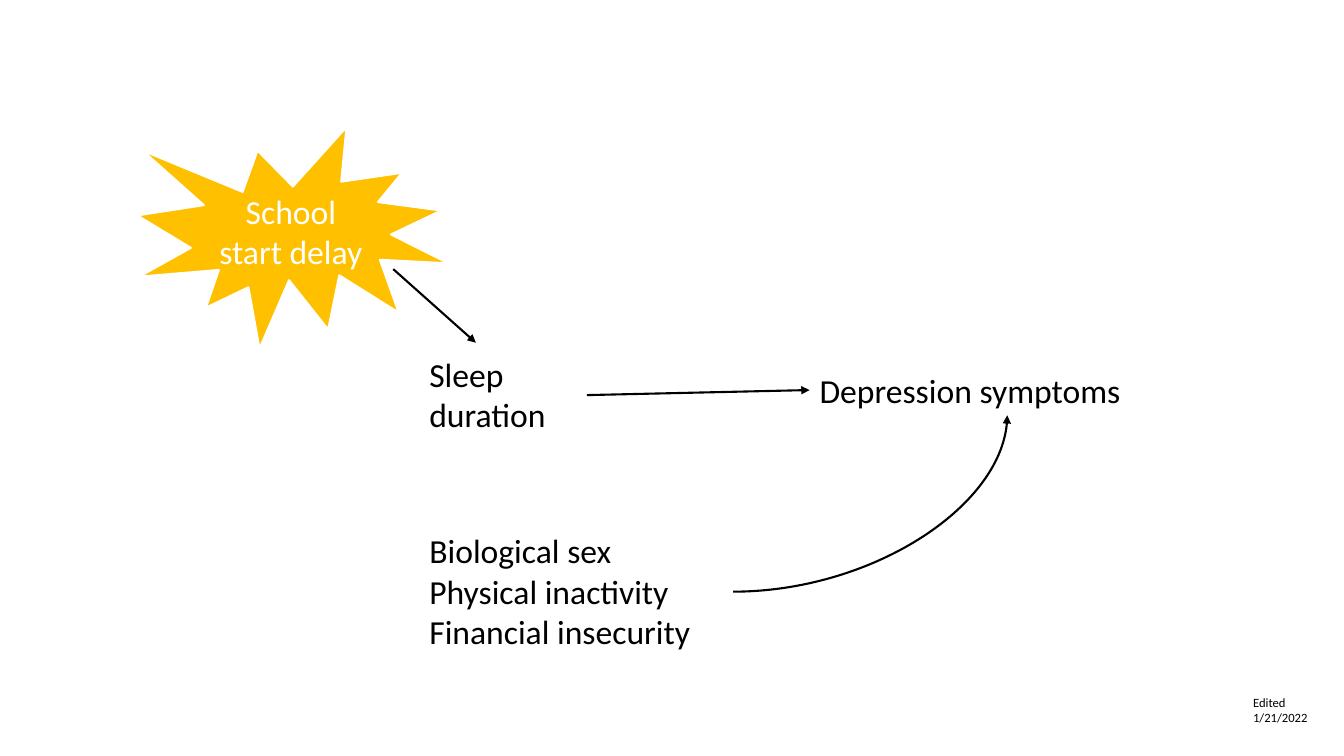
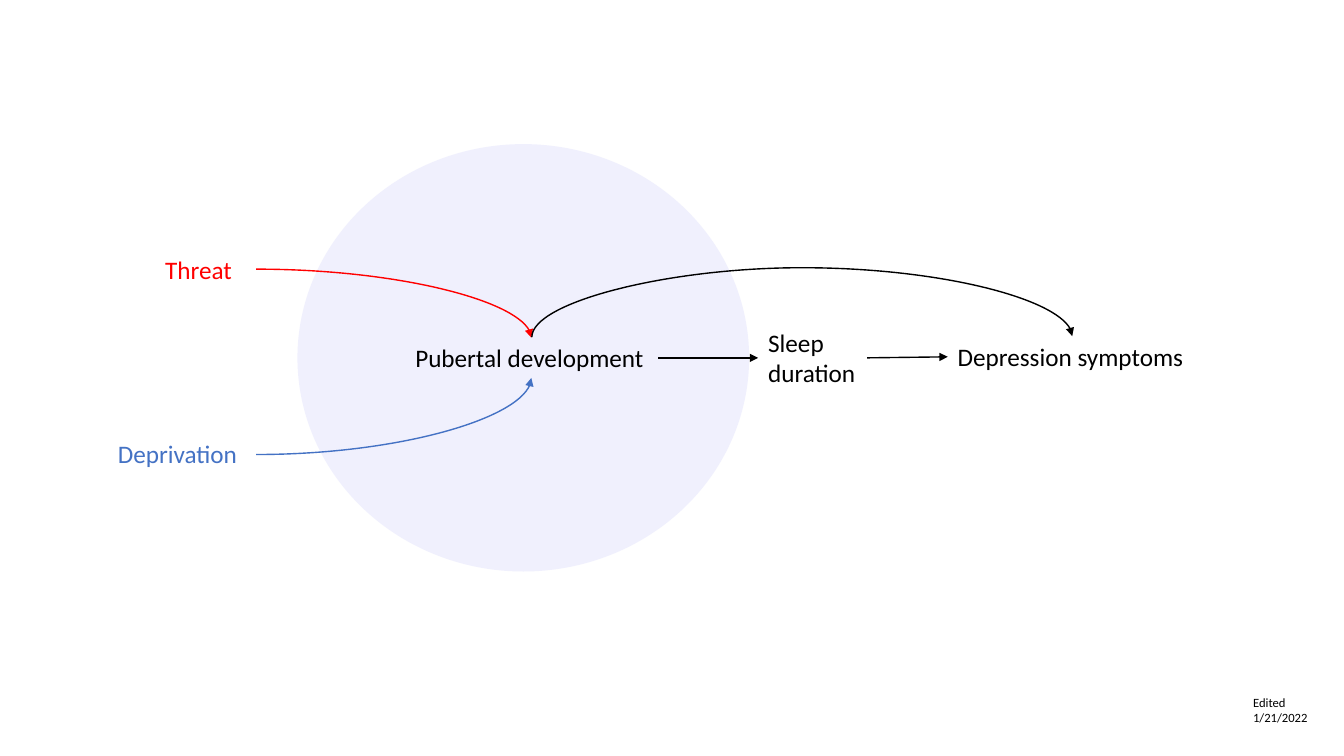
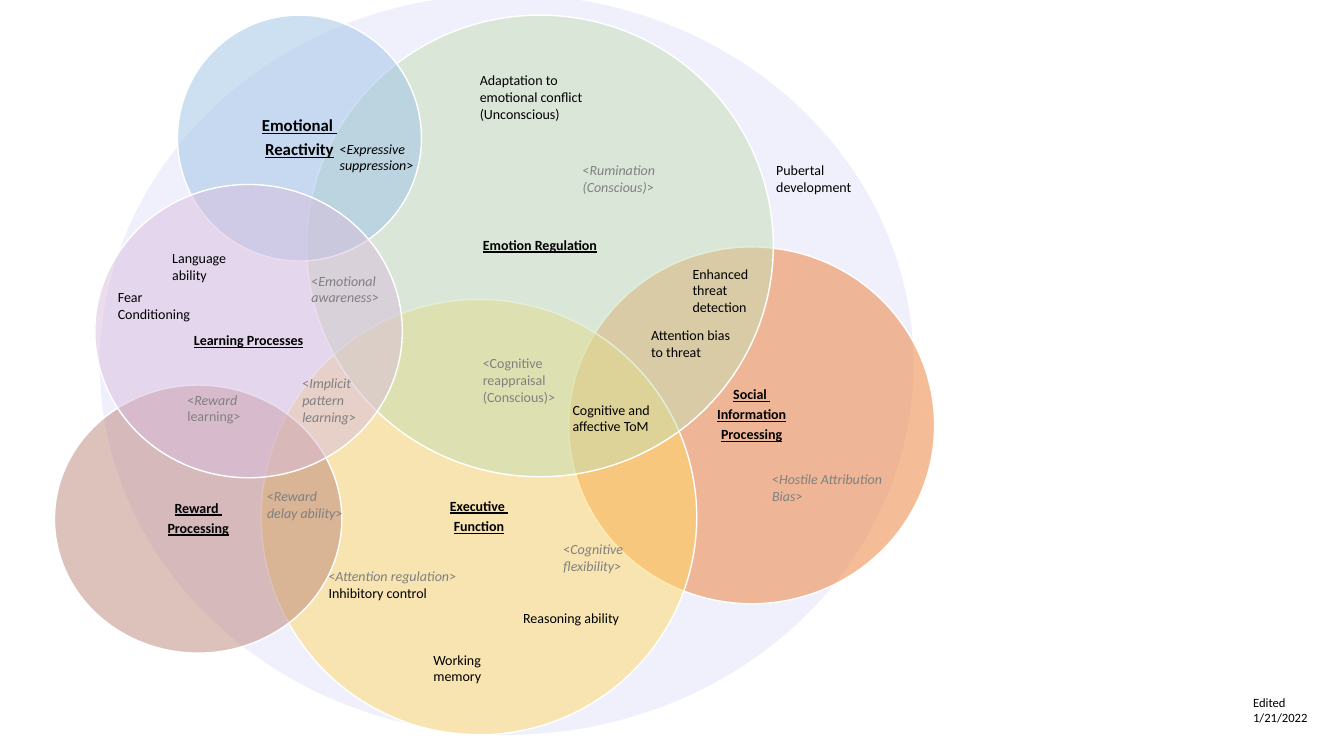
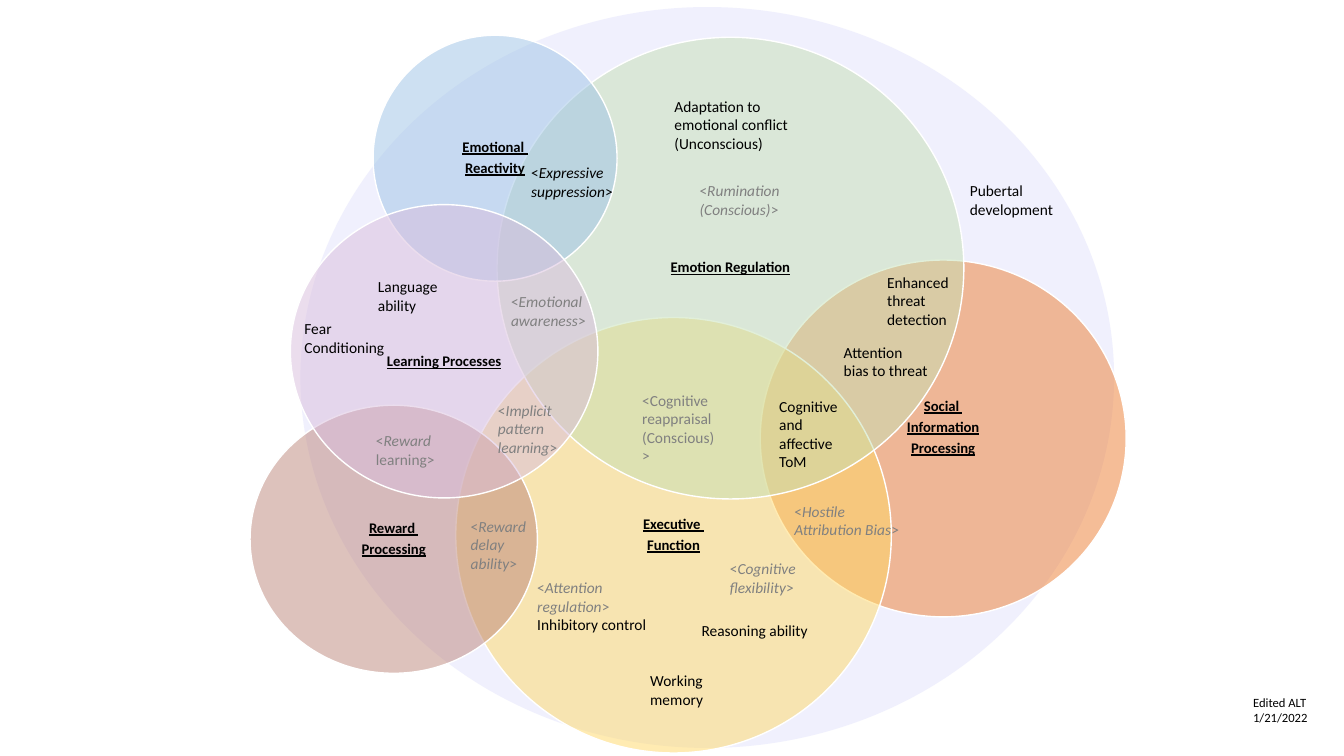
from lxml import etree
from pptx import Presentation, util as u
from pptx.dml.color import RGBColor
from pptx.enum import shapes, text
from pptx.oxml.ns import qn

FONT = "Calibri"
BLACK, GREY, WHITE = "000000", "808080", "FFFFFF"
RED, BLUE, GOLD, LILAC = "FF0000", "4472C4", "FFC000", "C2C2FA"
W, H = 13.33, 7.5
STRAIGHT, ARC, ARCH = "line", "curvedConnector2", "curvedConnector3"

# Slide content: text, left, top, width, lines, colour
SLEEP_NODES = [
    ("Biological sex\nPhysical inactivity\nFinancial insecurity", 4.16, 5.21, 3.11, 3, BLACK),
    ("Sleep\nduration", 4.16, 3.46, 1.67, 2, BLACK),
    ("Depression symptoms", 8.03, 3.62, 3.91, 1, BLACK),
]
SLEEP_ARROWS = [
    (ARC, (7.27, 5.87), (9.99, 4.12), BLACK),
    (STRAIGHT, (5.82, 3.92), (8.03, 3.87), BLACK),
    (STRAIGHT, (3.9, 2.67), (4.72, 3.4), BLACK),
]
PUBERTY_NODES = [
    ("Threat", 1.54, 2.47, 1, 1, RED),
    ("Deprivation", 1.07, 4.3, 1.47, 1, BLUE),
    ("Pubertal development", 4.02, 3.35, 2.51, 1, BLACK),
    ("Sleep\nduration", 7.52, 3.2, 1.08, 2, BLACK),
    ("Depression symptoms", 9.4, 3.34, 2.5, 1, BLACK),
]
PUBERTY_ARROWS = [
    (ARC, (2.54, 2.67), (5.27, 3.35), RED),
    (ARC, (2.54, 4.51), (5.27, 3.75), BLUE),
    (STRAIGHT, (6.53, 3.55), (7.52, 3.55), BLACK),
    (STRAIGHT, (8.6, 3.55), (9.4, 3.54), BLACK),
    (ARCH, (7.96, 6.02), (7.95, 0.66), BLACK),
]
# Label, colour, width, height, lines of label shift, place on each map
CIRCLES = [
    ("Social \nInformation\nProcessing", "ED7D31", 3.63, 3.54, -1, [(5.64, 2.45), (7.54, 2.58)]),
    ("Executive \nFunction", "FFD966", 4.32, 4.32, 0, [(2.59, 2.97), (4.52, 3.15)]),
    ("Emotion Regulation", "C5E0B4", 4.63, 4.58, 0, [(3.04, 0.15), (4.93, 0.37)]),
    ("Reward \nProcessing", "BD867B", 2.85, 2.66, 0, [(0.54, 3.82), (2.48, 4.02)]),
    ("Emotional \nReactivity", "9DC3E6", 2.42, 2.44, 0, [(1.76, 0.15), (3.7, 0.35)]),
    ("Learning Processes", "D9BDDD", 3.05, 2.91, 1, [(0.94, 1.83), (2.88, 2.03)]),
]
# Text with *italics*, colour of bracketed text, (left, top, width, lines) on each map
NOTES = [
    ("<*Hostile Attribution Bias*>", GREY, [(7.56, 4.62, 1.29, 2), (7.78, 4.93, 1.29, 2)]),
    ("Enhanced threat detection", BLACK, [(6.77, 2.58, 0.98, 3), (8.7, 2.66, 0.98, 3)]),
    ("Attention bias to threat", BLACK, [(6.36, 3.19, 1.06, 2), (8.27, 3.35, 1.06, 2)]),
    ("<*Attention regulation*>\nInhibitory control", GREY,
     [(3.16, 5.58, 1.52, 2), (5.23, 5.69, 1.52, 3)]),
    ("Working memory", BLACK, [(4.2, 6.41, 0.98, 2), (6.35, 6.61, 0.98, 2)]),
    ("<*Cognitive flexibility*>", GREY, [(5.49, 5.31, 0.98, 2), (7.14, 5.5, 0.98, 2)]),
    ("<*Reward delay ability*>", GREY, [(2.55, 4.79, 0.98, 2), (4.57, 5.08, 0.98, 3)]),
    ("<*Reward *learning>", GREY, [(1.76, 3.83, 0.98, 2), (3.63, 4.23, 0.98, 2)]),
    ("<Cognitive reappraisal (Conscious)>", GREY, [(4.69, 3.47, 0.98, 3), (6.27, 3.83, 0.98, 4)]),
    ("Cognitive and affective ToM", BLACK, [(5.58, 3.93, 0.98, 2), (7.63, 3.89, 0.98, 4)]),
    ("<*Rumination (Conscious)*>", GREY, [(5.68, 1.55, 1.17, 2), (6.84, 1.75, 1.17, 2)]),
    ("Adaptation to emotional conflict (Unconscious)", BLACK,
     [(4.66, 0.66, 1.42, 3), (6.59, 0.91, 1.42, 3)]),
    ("<*Expressive suppression*>", BLACK, [(3.27, 1.34, 1.17, 2), (5.17, 1.57, 1.05, 2)]),
    ("<*Implicit pattern learning*>", GREY, [(2.9, 3.67, 0.98, 3), (4.84, 3.93, 0.98, 3)]),
    ("Language ability", BLACK, [(1.61, 2.43, 0.98, 2), (3.65, 2.7, 0.98, 2)]),
    ("<*Emotional awareness*>", GREY, [(2.99, 2.65, 0.98, 2), (4.97, 2.85, 0.98, 2)]),
    ("Fear Conditioning", BLACK, [(1.07, 2.81, 1.12, 2), (2.92, 3.12, 1.12, 2)]),
    ("Reasoning ability", BLACK, [(5.09, 6, 1.26, 1), (6.86, 6.11, 1.26, 1)]),
    ("Pubertal development", BLACK, [(7.6, 1.55, 1.29, 2), (9.52, 1.75, 1.29, 2)]),
]
MAPS = [
    {"backdrop": (0.99, -0.06), "note": 10, "label": 10, "large": 12, "edited": "Edited 1/21/2022"},
    {"backdrop": (2.98, 0.07), "note": 11, "label": 10.5, "large": 10.5,
     "edited": "Edited ALT 1/21/2022"},
]


def rgb(value):
    return RGBColor.from_string(value)


def style(r, size, color, **flags):
    r.font.name, r.font.size = FONT, u.Pt(size)
    r.font.color.rgb = rgb(color)
    for name, on in flags.items():
        setattr(r.font, name, on)


def add_text(s, words, x, y, w, lines, color, size):
    h = lines * size * 1.22 / 72 + 0.1
    tf = s.shapes.add_textbox(*map(u.Inches, (x, y, w, h))).text_frame
    tf.word_wrap = True
    tf.auto_size = text.MSO_AUTO_SIZE.SHAPE_TO_FIT_TEXT
    for i, line in enumerate(words.split("\n")):
        p = tf.add_paragraph() if i else tf.paragraphs[0]
        ink = BLACK if i and not line.startswith("<") and color == GREY else color
        for j, part in enumerate(line.split("*")):
            if part:
                r = p.add_run()
                r.text = part
                style(r, size, ink, italic=j % 2 == 1)


def add_figure(s, kind, x, y, w, h, fill, alpha=100, line=0):
    sp = s.shapes.add_shape(kind, *map(u.Inches, (x, y, w, h)))
    sp.shadow.inherit = False
    sp.fill.solid()
    sp.fill.fore_color.rgb = rgb(fill)
    if alpha < 100:
        clr = sp._element.spPr.find(qn("a:solidFill"))[0]
        etree.SubElement(clr, qn("a:alpha"), val=str(alpha * 1000))
    if line:
        sp.line.color.rgb, sp.line.width = rgb(WHITE), u.Pt(line)
    else:
        sp.line.fill.background()
    return sp


def add_label(sp, words, size, color, **flags):
    tf = sp.text_frame
    tf.text, tf.word_wrap = words, True
    tf.vertical_anchor = text.MSO_ANCHOR.MIDDLE
    for p in tf.paragraphs:
        p.alignment = text.PP_ALIGN.CENTER
        style(p.runs[0], size, color, **flags)
    return tf


def add_arrow(s, kind, start, end, color, width):
    base = shapes.MSO_CONNECTOR.STRAIGHT if kind == STRAIGHT else shapes.MSO_CONNECTOR.CURVE
    c = s.shapes.add_connector(base, *map(u.Inches, start + end))
    c.line.color.rgb, c.line.width = rgb(color), u.Pt(width)
    pr = c._element.spPr
    geom = pr.find(qn("a:prstGeom"))
    geom.set("prst", kind)
    if kind == ARCH:
        pr.find(qn("a:xfrm")).set("rot", "5400000")
        etree.SubElement(geom.find(qn("a:avLst")), qn("a:gd"), name="adj1", fmla="val 7000000")
    etree.SubElement(pr.find(qn("a:ln")), qn("a:tailEnd"), type="triangle")
    etree.SubElement(pr, qn("a:effectLst"))


def add_slide(prs, edited="Edited 1/21/2022"):
    s = prs.slides.add_slide(prs.slide_layouts[6])
    add_text(s, edited, W - 1, 6.84, 1, 2, BLACK, 9)
    return s


def add_diagram(s, nodes, arrows, size, width):
    for node in nodes:
        add_text(s, *node, size)
    for arrow in arrows:
        add_arrow(s, *arrow, width)


def add_map(prs, n, m):
    s = add_slide(prs, m["edited"])
    oval = shapes.MSO_SHAPE.OVAL
    add_figure(s, oval, *m["backdrop"], 8.07, 7.35, LILAC, 24)
    for label, fill, w, h, shift, places in CIRCLES:
        size = m["large"] if label.startswith("Emotional") else m["label"]
        sp = add_figure(s, oval, *places[n], w, h, fill, 50, 1)
        tf = add_label(sp, label, size, BLACK, bold=True, underline=True)
        pad, pitch = size * 0.3, size * 1.45
        tf.margin_left = tf.margin_right = u.Pt(pad)
        tf.margin_top = u.Pt(pad + pitch * max(shift, 0))
        tf.margin_bottom = u.Pt(pad + pitch * max(-shift, 0))
        for p in tf.paragraphs:
            p.line_spacing, p.space_after = 0.9, u.Pt(size * 0.35)
    for words, color, places in NOTES:
        add_text(s, words, *places[n], color, m["note"])


def main():
    """Build the four slides and save them."""
    prs = Presentation()
    prs.slide_width, prs.slide_height = u.Inches(W), u.Inches(H)

    s = add_slide(prs)
    seal = add_figure(s, shapes.MSO_SHAPE.EXPLOSION1, 1.36, 1.26, 3.09, 2.2, GOLD, line=1.5)
    add_label(seal, "School start delay", 24, WHITE)
    add_diagram(s, SLEEP_NODES, SLEEP_ARROWS, 24, 1.5)

    s = add_slide(prs)
    add_figure(s, shapes.MSO_SHAPE.OVAL, 2.95, 1.43, 4.48, 4.24, LILAC, 24)
    add_diagram(s, PUBERTY_NODES, PUBERTY_ARROWS, 18, 1)

    for n, m in enumerate(MAPS):
        add_map(prs, n, m)
    prs.save("out.pptx")


if __name__ == "__main__":
    main()
